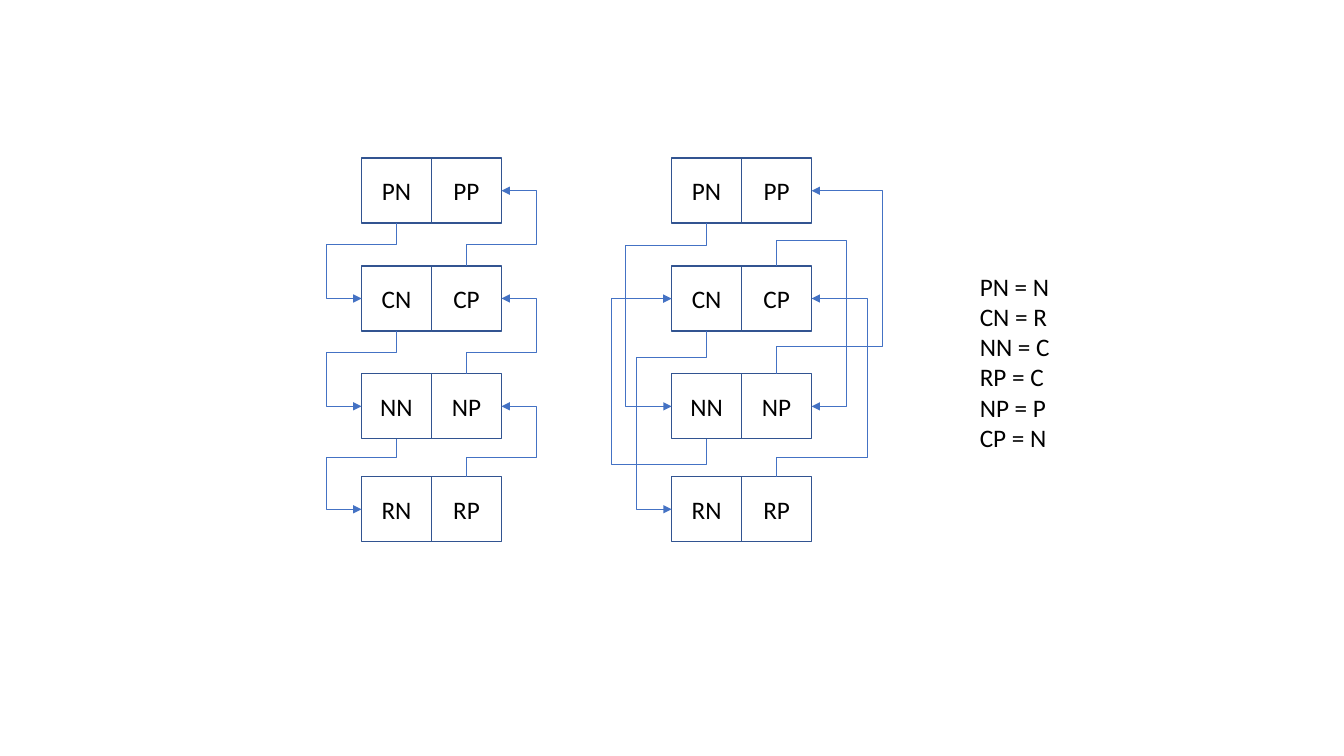
import pptx
import pptx.util
import pptx.dml.color
import pptx.enum.shapes
import pptx.enum.text
import pptx.oxml
import pptx.oxml.ns
from lxml import etree

Pt = pptx.util.Pt
RGB = pptx.dml.color.RGBColor
BLACK = RGB(0x00, 0x00, 0x00)
EDGE = RGB(0x32, 0x54, 0x91)
LINK = RGB(0x44, 0x72, 0xC4)

CELL_W, CELL_H = 50, 46.5
TOPS = {"P": 113, "C": 190, "N": 267, "R": 340.5}
TOP, LEFT, BOTTOM, RIGHT = range(4)  # connection sites of a rectangle

# from cell, to cell, distance out of the first, distance beside the second
CHAIN = [
    ("PN", "CN", 15.25, 25), ("CN", "NN", 15.25, 25),
    ("CP", "PP", 15.25, 25), ("NP", "CP", 15.25, 25),
    ("NN", "RN", 13.5, 25), ("RP", "NP", 13.5, 25),
]
SWAP = [
    ("PN", "NN", 16, 33), ("CN", "RN", 18.5, 25),
    ("CP", "NP", 18, 25), ("NP", "PP", 19.5, 50.5),
    ("NN", "CN", 18, 42.75), ("RP", "CP", 14, 40),
]
STEPS = ["PN = N", "CN = R", "NN = C", "RP = C", "NP = P", "CP = N"]


def style(frame):
    """Set the font of all text in a frame."""
    for para in frame.paragraphs:
        for run in para.runs:
            run.font.name = "Calibri"
            run.font.size = Pt(18)
            run.font.color.rgb = BLACK


def add_cell(slide, name, x, y):
    """Draw one pointer cell and return it."""
    cell = slide.shapes.add_shape(
        pptx.enum.shapes.MSO_SHAPE.RECTANGLE, Pt(x), Pt(y), Pt(CELL_W), Pt(CELL_H))
    cell.shadow.inherit = False
    cell.fill.background()
    cell.line.color.rgb = EDGE
    cell.line.width = Pt(1)
    frame = cell.text_frame
    frame.text = name
    frame.vertical_anchor = pptx.enum.text.MSO_ANCHOR.MIDDLE
    frame.paragraphs[0].alignment = pptx.enum.text.PP_ALIGN.CENTER
    style(frame)
    return cell


def add_link(slide, start, end, out, side):
    """Join two cells by an arrow: N cells run down the left, P cells up the right."""
    is_next = start.text_frame.text.endswith("N")
    way = 1 if is_next else -1
    x1 = start.left + start.width // 2
    y1 = start.top + (start.height if is_next else 0)
    x2 = end.left + (0 if is_next else end.width)
    y2 = end.top + end.height // 2
    dx, dy = x2 - x1, y2 - y1

    link = slide.shapes.add_connector(
        pptx.enum.shapes.MSO_CONNECTOR.ELBOW, x1, y1, x2, y2)
    link.begin_connect(start, BOTTOM if is_next else TOP)
    link.end_connect(end, LEFT if is_next else RIGHT)
    link.line.color.rgb = LINK
    link.line.width = Pt(0.5)

    # The preset leaves sideways, so its box is laid out turned by 90 degrees.
    link.width, link.height = abs(dy), abs(dx)
    link.left = (x1 + x2 - abs(dy)) // 2
    link.top = (y1 + y2 - abs(dx)) // 2
    qn = pptx.oxml.ns.qn
    props = link._element.spPr
    frame = props.find(qn("a:xfrm"))
    frame.set("rot", "5400000")
    frame.set("flipH", str(int(dy < 0)))
    frame.set("flipV", str(int(dx > 0)))

    geom = props.find(qn("a:prstGeom"))
    geom.set("prst", "bentConnector4")
    guides = geom.find(qn("a:avLst"))
    bends = (way * Pt(out) / dy, 1 - way * Pt(side) / dx)
    for num, bend in enumerate(bends, 1):
        etree.SubElement(guides, qn("a:gd"), name=f"adj{num}",
                         fmla=f"val {round(bend * 100000)}")
    etree.SubElement(props.find(qn("a:ln")), qn("a:tailEnd"), type="triangle")
    etree.SubElement(props, qn("a:effectLst"))


def add_list(slide, x, links):
    """Draw a linked list of four nodes with its arrows."""
    cells = {}
    for node, y in TOPS.items():
        for col, kind in enumerate("NP"):
            name = node + kind
            cells[name] = add_cell(slide, name, x + col * CELL_W, y)
    for start, end, out, side in links:
        add_link(slide, cells[start], cells[end], out, side)


def add_steps(slide):
    """Write the list of pointer changes."""
    box = slide.shapes.add_textbox(Pt(692.75), Pt(190), Pt(65), Pt(138.5))
    frame = box.text_frame
    frame.word_wrap = False
    frame.auto_size = pptx.enum.text.MSO_AUTO_SIZE.SHAPE_TO_FIT_TEXT
    frame.text = "\n".join(STEPS)
    style(frame)


def main():
    """Build and save the slide."""
    deck = pptx.Presentation()
    deck.slide_width, deck.slide_height = Pt(960), Pt(540)
    slide = deck.slides.add_slide(deck.slide_layouts.get_by_name("Blank"))
    add_list(slide, 258.25, CHAIN)
    add_list(slide, 479.75, SWAP)
    add_steps(slide)
    deck.save("out.pptx")


main()
